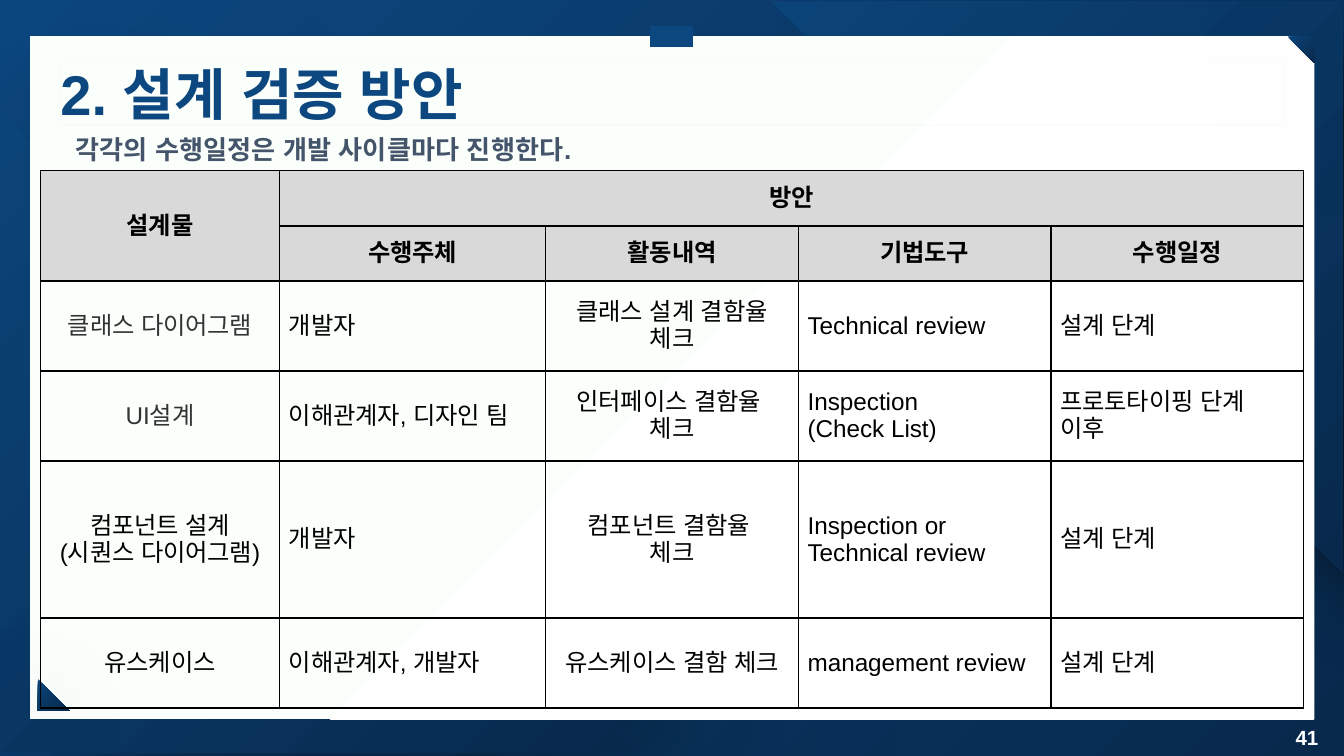
from dataclasses import dataclass

from lxml.etree import SubElement
from pptx import Presentation
from pptx.dml.color import RGBColor
from pptx.enum.shapes import MSO_CONNECTOR, MSO_SHAPE
from pptx.enum.text import MSO_ANCHOR, MSO_AUTO_SIZE, PP_ALIGN
from pptx.oxml.ns import qn
from pptx.util import Inches, Pt


@dataclass(frozen=True)
class Theme:
    font: str = "Arial"
    navy: str = "08294C"
    blue: str = "0C477F"
    corner_blue: str = "0B4479"
    white: str = "FFFFFF"
    mint: str = "FBFFFB"
    slate: str = "44546A"
    black: str = "000000"
    gray: str = "333333"
    header: str = "D9D9D9"
    outline: str = "D8D8D8"
    title: float = 30
    subtitle: float = 14
    cell: float = 13
    number: float = 11


theme = Theme()


def radial(fill, element, start, end):
    """Fill with a circular gradient centred on the bottom right corner."""
    fill.gradient()
    for stop, color in zip(fill.gradient_stops, (start, end)):
        stop.color.rgb = RGBColor.from_string(color)
    grad = next(element.iter(qn("a:gradFill")))
    grad.remove(grad.find(qn("a:lin")))
    path = SubElement(grad, qn("a:path"), path="circle")
    SubElement(path, qn("a:fillToRect"), l="100000", t="100000")


def format_text(tf, size, color, bold, align=PP_ALIGN.LEFT, margin=0):
    tf.word_wrap = True
    tf.vertical_anchor = MSO_ANCHOR.MIDDLE
    tf.margin_left = tf.margin_right = Inches(margin)
    tf.margin_top = tf.margin_bottom = Inches(margin)
    for p in tf.paragraphs:
        p.alignment = align
        for r in p.runs:
            r.font.size = Pt(size)
            r.font.bold = bold
            r.font.color.rgb = RGBColor.from_string(color)
            r.font.name = theme.font
            SubElement(r._r.get_or_add_rPr(), qn("a:ea"), typeface=theme.font)


prs = Presentation()
prs.slide_width, prs.slide_height = Inches(10), Inches(10 * 9 / 16)
s = prs.slides.add_slide(prs.slide_layouts[5])
radial(s.background.fill, s.element, theme.navy, theme.blue)

# Backdrop: left, top, width, height, rotation, shadow (blur, opacity, distance, angle)
large_corners = [
    (0, 0.83, 4.77, 4.77, 0, (100, 53, 40, 0)),
    (5.74, 0.01, 4.25, 4.25, 180, (39, 53, 41, 45)),
]
panel = [(0.22, 0.27, 9.56, 5.08, 0, None)]
small_corners = [
    (9.58, 0.27, 0.2, 0.2, 180, (100, 53, 40, 0)),
    (0.28, 5.05, 0.24, 0.24, 0, (56, 35, 14, 135)),
]
for x, y, w, h, rotation, shadow in large_corners + panel + small_corners:
    preset = MSO_SHAPE.ISOSCELES_TRIANGLE if shadow else MSO_SHAPE.ROUNDED_RECTANGLE
    sp = s.shapes.add_shape(preset, Inches(x), Inches(y), Inches(w), Inches(h))
    sp.adjustments[0] = 0
    sp.rotation = rotation
    sp.line.fill.background()
    sp.shadow.inherit = False
    if not shadow:
        radial(sp.fill, sp._element, theme.white, theme.mint)
        continue
    radial(sp.fill, sp._element, theme.navy, theme.corner_blue)
    blur, opacity, distance, angle = shadow
    outer = SubElement(sp._element.spPr.find(qn("a:effectLst")), qn("a:outerShdw"),
                       blurRad=str(Pt(blur)), dist=str(Pt(distance)),
                       dir=str(angle * 60000), algn="ctr", rotWithShape="0")
    shade = SubElement(outer, qn("a:srgbClr"), val=theme.black)
    SubElement(shade, qn("a:alpha"), val=str(opacity * 1000))

tab = s.shapes.add_connector(MSO_CONNECTOR.STRAIGHT, Inches(4.84), Inches(0.27),
                             Inches(5.16), Inches(0.27))
tab.line.color.rgb = RGBColor.from_string(theme.blue)
tab.line.width = Pt(11.25)
SubElement(tab._element.spPr, qn("a:effectLst"))

# Title, raised above the backdrop
title = s.shapes.title
s.shapes._spTree.append(title._element)
title.left, title.top = Inches(0.45), Inches(0.46)
title.width, title.height = Inches(9.1), Inches(0.47)
title.line.color.rgb = RGBColor.from_string(theme.outline)
title.line.width = Pt(0.75)
outline = next(title._element.spPr.iter(qn("a:srgbClr")))
SubElement(outline, qn("a:alpha"), val="5000")
title.text_frame.text = "2. 설계 검증 방안"
title.text_frame.auto_size = MSO_AUTO_SIZE.NONE
format_text(title.text_frame, theme.title, theme.blue, True)

number = s.shapes.add_textbox(Inches(9.34), Inches(5.4), Inches(0.47), Inches(0.17))
number.text_frame.text = "41"
format_text(number.text_frame, theme.number, theme.white, True, PP_ALIGN.RIGHT)

# Verification table
rows = [
    ["설계물", "방안", "", "", ""],
    ["", "수행주체", "활동내역", "기법도구", "수행일정"],
    ["클래스 다이어그램", "개발자", "클래스 설계 결함율 체크", "Technical review", "설계 단계"],
    ["UI설계", "이해관계자, 디자인 팀", "인터페이스 결함율 \n체크",
     "Inspection\n(Check List)", "프로토타이핑 단계\n이후"],
    ["컴포넌트 설계\n(시퀀스 다이어그램)", "개발자", "컴포넌트 결함율 \n체크",
     "Inspection or Technical review", "설계 단계"],
    ["유스케이스", "이해관계자, 개발자", "유스케이스 결함 체크", "management review", "설계 단계"],
]
col_widths = [1.78, 1.98, 1.88, 1.88, 1.88]
row_heights = [0.41, 0.41, 0.67, 0.67, 1.17, 0.67]
header_rows = 2
centered_cols = (0, 2)
gray_labels = ("클래스 다이어그램", "UI설계")

table = s.shapes.add_table(len(rows), len(col_widths), Inches(0.3), Inches(1.27),
                           Inches(sum(col_widths)), Inches(sum(row_heights))).table
table.first_row = table.horz_banding = False
for column, width in zip(table.columns, col_widths):
    column.width = Inches(width)
for row, height in zip(table.rows, row_heights):
    row.height = Inches(height)
table.cell(0, 0).merge(table.cell(1, 0))
table.cell(0, 1).merge(table.cell(0, 4))

for i, texts in enumerate(rows):
    is_header = i < header_rows
    for j, text in enumerate(texts):
        cell = table.cell(i, j)
        tf = cell.text_frame
        tf.text = text
        align = PP_ALIGN.CENTER if is_header or j in centered_cols else PP_ALIGN.LEFT
        color = theme.gray if text in gray_labels else theme.black
        format_text(tf, theme.cell, color, is_header, align)
        cell.vertical_anchor = MSO_ANCHOR.MIDDLE
        cell.margin_left = cell.margin_right = Inches(0.07)
        cell.margin_top = cell.margin_bottom = Inches(0.07)
        tcPr = cell._tc.get_or_add_tcPr()
        for side in ("a:lnL", "a:lnR", "a:lnT", "a:lnB"):
            border = SubElement(tcPr, qn(side), w=str(Pt(1)))
            SubElement(SubElement(border, qn("a:solidFill")), qn("a:srgbClr"), val=theme.black)
        if is_header:
            cell.fill.solid()
            cell.fill.fore_color.rgb = RGBColor.from_string(theme.header)
        else:
            cell.fill.background()

subtitle = s.shapes.add_textbox(Inches(0.3), Inches(0.92), Inches(5.79), Inches(0.35))
tf = subtitle.text_frame
tf.text = "각각의 수행일정은 개발 사이클마다 진행한다."
format_text(tf, theme.subtitle, theme.slate, True, margin=0.1)
tf.margin_left = Inches(0.26)
tf.paragraphs[0].line_spacing = 1.15

prs.save("out.pptx")
